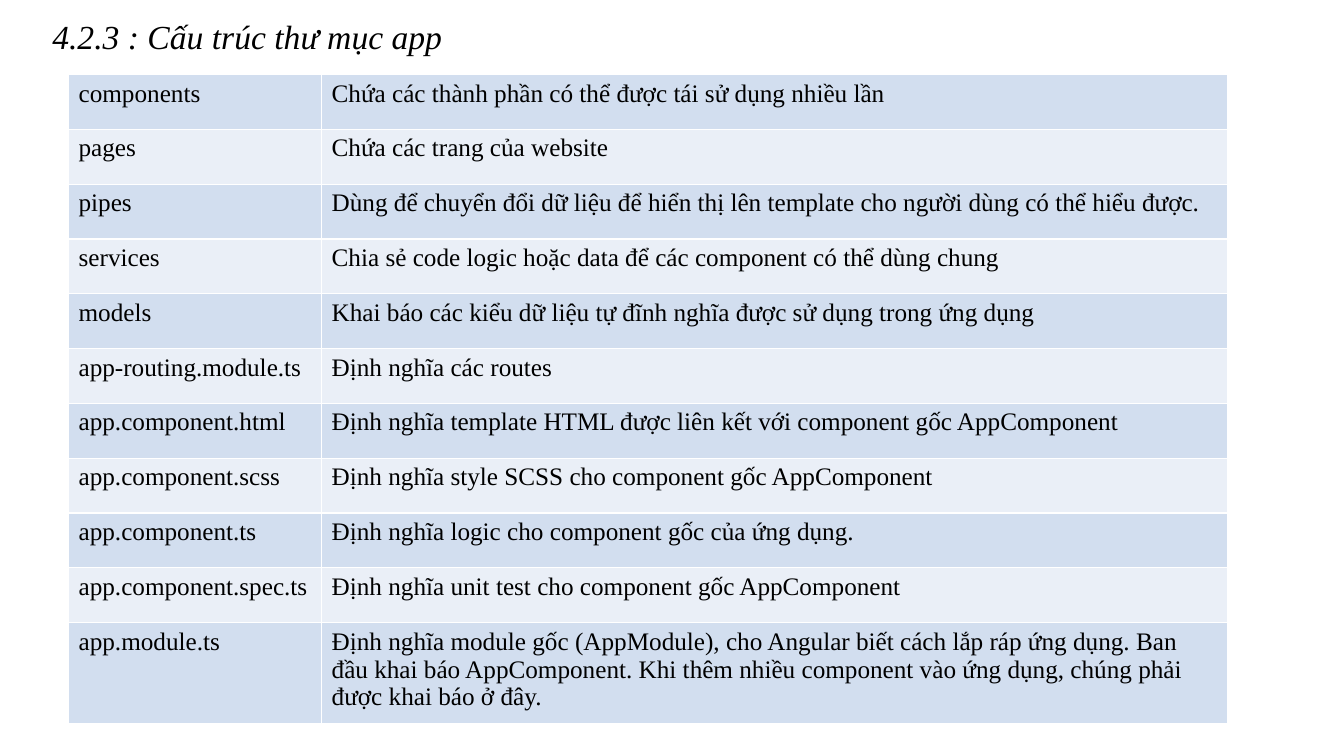
from lxml import etree
from pptx import Presentation
from pptx.dml.color import RGBColor
from pptx.enum.text import MSO_ANCHOR
from pptx.oxml.ns import qn
from pptx.util import Inches, Pt

TOP = MSO_ANCHOR.TOP
BLACK = RGBColor(0x00, 0x00, 0x00)
WHITE = RGBColor(0xFF, 0xFF, 0xFF)
BANDS = (RGBColor(0xD2, 0xDE, 0xEF), RGBColor(0xEA, 0xEF, 0xF7))

TITLE = "4.2.3 : Cấu trúc thư mục app"
ROWS = [
    ("components", "Chứa các thành phần có thể được tái sử dụng nhiều lần"),
    ("pages", "Chứa các trang của website"),
    ("pipes", "Dùng để chuyển đổi dữ liệu để hiển thị lên template "
              "cho người dùng có thể hiểu được."),
    ("services", "Chia sẻ code logic hoặc data để các component có thể dùng chung"),
    ("models", "Khai báo các kiểu dữ liệu tự đĩnh nghĩa được sử dụng trong ứng dụng"),
    ("app-routing.module.ts", "Định nghĩa các routes"),
    ("app.component.html", "Định nghĩa template HTML được liên kết với "
                           "component gốc AppComponent"),
    ("app.component.scss", "Định nghĩa style SCSS cho component gốc AppComponent"),
    ("app.component.ts", "Định nghĩa logic cho component gốc của ứng dụng."),
    ("app.component.spec.ts", "Định nghĩa unit test cho component gốc AppComponent"),
    ("app.module.ts", "Định nghĩa module gốc (AppModule), cho Angular biết cách lắp ráp "
                      "ứng dụng. Ban đầu khai báo AppComponent. Khi thêm nhiều component "
                      "vào ứng dụng, chúng phải được khai báo ở đây."),
]


class Board:
    """Holds the text style and the current slide."""

    def __init__(self, slide):
        self.slide = slide
        self.base = {"name": "Times New Roman", "size": Pt(18), "italic": False}

    def label(self, frame, text, **style):
        para = frame.paragraphs[0]
        run = para.add_run()
        run.text = text
        for key, value in {**self.base, **style}.items():
            setattr(run.font, key, value)
        run.font.color.rgb = BLACK
        return para

    def title(self, text, *box):
        frame = self.slide.shapes.add_textbox(*map(Inches, box)).text_frame
        frame.word_wrap = True
        frame.vertical_anchor = TOP
        para = self.label(frame, text, size=Pt(24), italic=True)
        para.line_spacing = 0.9
        para.space_before = Pt(10)

    def border(self, cell):
        props = cell._tc.get_or_add_tcPr()
        for spot, side in enumerate(("lnL", "lnR", "lnT", "lnB")):
            line = etree.Element(qn("a:" + side), w=str(Pt(1)))
            fill = etree.SubElement(line, qn("a:solidFill"))
            etree.SubElement(fill, qn("a:srgbClr"), val=str(WHITE))
            props.insert(spot, line)

    def table(self, rows, left, top, widths, total, last):
        size = (len(rows), len(widths))
        box = map(Inches, (left, top, sum(widths), total))
        grid = self.slide.shapes.add_table(*size, *box).table
        grid.first_row = False
        for col, width in zip(grid.columns, widths):
            col.width = Inches(width)
        # Equal rows, with a taller one at the end
        for row in grid.rows:
            row.height = Inches((total - last) / (len(rows) - 1))
        grid.rows[len(rows) - 1].height = Inches(last)
        # Banded cells
        for r, texts in enumerate(rows):
            for c, text in enumerate(texts):
                cell = grid.cell(r, c)
                cell.fill.solid()
                cell.fill.fore_color.rgb = BANDS[r % 2]
                self.border(cell)
                self.label(cell.text_frame, text)


def main():
    deck = Presentation()
    deck.slide_width, deck.slide_height = Inches(13.33), Inches(7.5)
    board = Board(deck.slides.add_slide(deck.slide_layouts[6]))

    # Heading
    board.title(TITLE, 0.42, 0.15, 12.22, 7.14)

    # Folder and file list
    board.table(ROWS, 0.68, 0.74, widths=(2.51, 8.99), total=6.42, last=0.98)

    deck.save("out.pptx")


if __name__ == "__main__":
    main()
